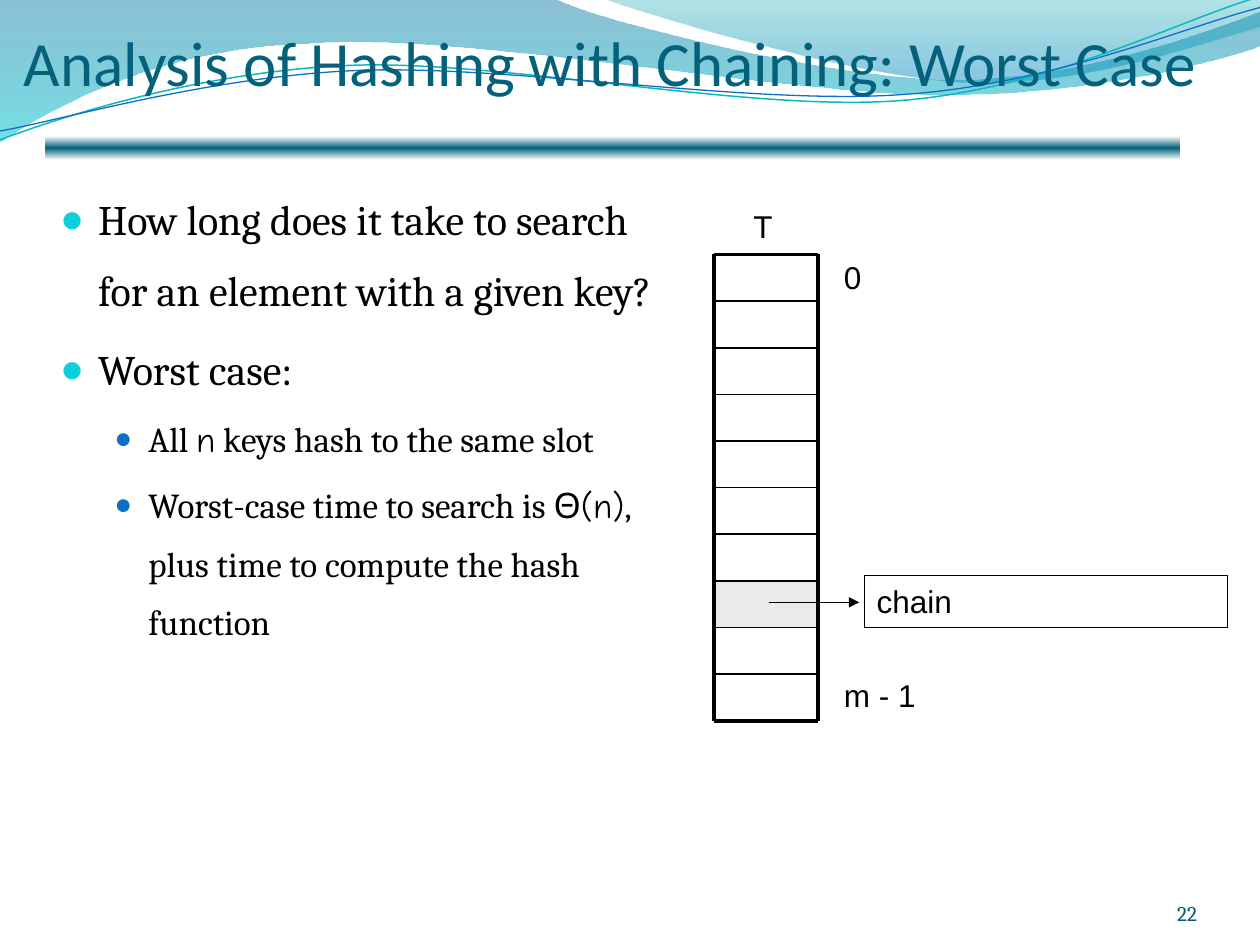
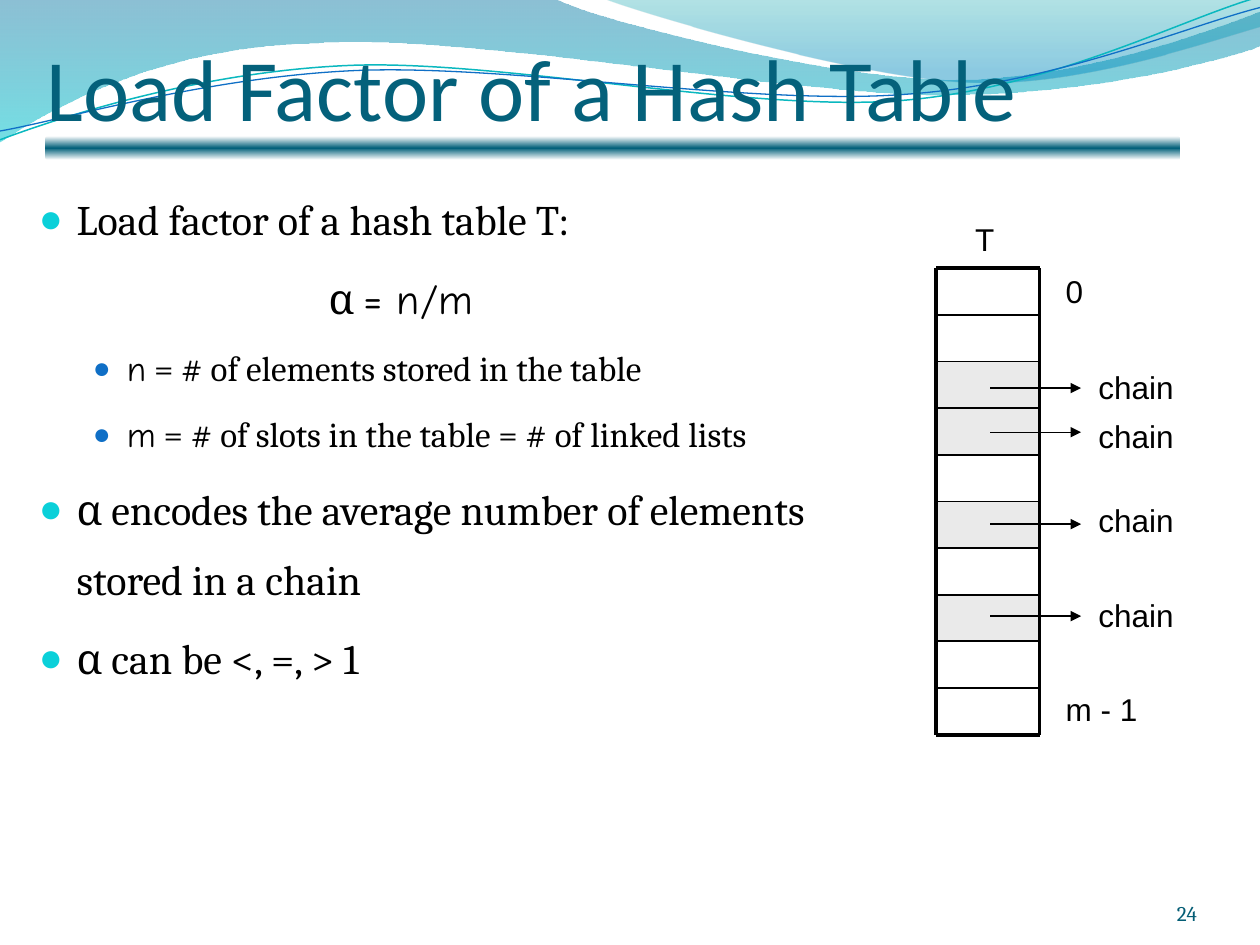
from lxml.etree import SubElement
from pptx import Presentation
from pptx.dml.color import RGBColor
from pptx.enum.shapes import MSO_CONNECTOR, MSO_SHAPE
from pptx.enum.text import MSO_ANCHOR, MSO_AUTO_SIZE, PP_ALIGN
from pptx.oxml.ns import qn
from pptx.util import Inches, Pt

COLORS = {
    "title": "04617B", "number": "045D75", "text": "000000", "white": "FFFFFF",
    "bullet": "0BD0D9", "sub_bullet": "0F6FC6", "slot": "EAEAEA",
    "wave_blue": "0074A1", "wave_cyan": "00C6CF",
    "crest_teal": "00A1A9", "crest_blue": "008BBF",
    "line_teal": "0AB8BF", "line_blue": "0F6FC6",
}
TITLE_FONT, BODY_FONT, MATH_FONT, LABEL_FONT = "Calibri", "Cambria", "Comic Neue", "Arial"

# Outlines: a start point, then line ends (2 numbers) or Bezier curves (6 numbers).
WAVE = [(0, 0), (4.4, -0.01), (4.76, 0.17, 6.64, 0.63, 7.58, 0.63),
        (8.53, 0.63, 9.58, 0.26, 10, 0.09), (10.01, 0.36),
        (9.83, 0.44, 8.7, 0.76, 7.46, 0.75), (6.22, 0.75, 3.82, 0.28, 2.57, 0.34),
        (1.29, 0.36, 0.46, 0.83, -0.01, 1.13)]
CREST = [(4.79, -0.01), (5.09, 0.11, 6.82, 0.62, 7.69, 0.65),
         (8.56, 0.69, 9.61, 0.32, 10, 0.21), (10, 0)]
TEAL_CURVE = [(0, 1.11), (0.48, 0.93, 1.58, 0.57, 2.77, 0.52),
              (3.95, 0.47, 5.93, 0.89, 7.13, 0.8), (8.33, 0.71, 9.38, 0.15, 9.98, -0.02)]
BLUE_CURVE = [(0, 1.04), (0.47, 0.96, 1.64, 0.61, 2.83, 0.56),
              (4.03, 0.51, 5.97, 0.84, 7.17, 0.75), (8.36, 0.67, 9.41, 0.21, 10, 0.06)]

ROWS, ROW_H, TABLE_W = 10, 0.37, 0.82
LABEL_H = 0.4


def rgb(name):
    return RGBColor.from_string(COLORS[name])


def set_font(font, name, size, color):
    font.name, font.size = name, Pt(size)
    font.color.rgb = rgb(color)


def fill_gradient(shape, stops):
    """Fill from top to bottom with (position %, colour, opacity %) stops."""
    shape.fill.gradient()
    shape.fill.gradient_angle = 270
    gs_lst = shape._element.spPr.find(qn("a:gradFill")).find(qn("a:gsLst"))
    for gs in list(gs_lst):
        gs_lst.remove(gs)
    for pos, color, opacity in stops:
        gs = SubElement(gs_lst, qn("a:gs"), pos=str(pos * 1000))
        clr = SubElement(gs, qn("a:srgbClr"), val=COLORS[color])
        if opacity < 100:
            SubElement(clr, qn("a:alpha"), val=str(opacity * 1000))


def add_outline(s, outline, close):
    """Build a freeform, joining the three points of each curve into a Bezier."""
    points = [(Inches(seg[i]), Inches(seg[i + 1]))
              for seg in outline for i in range(0, len(seg), 2)]
    builder = s.shapes.build_freeform(*points[0])
    builder.add_line_segments(points[1:], close=close)
    shape = builder.convert_to_shape()
    shape.shadow.inherit = False
    lines = iter(list(shape._element.iter(qn("a:lnTo"))))
    for seg in outline[1:]:
        line = next(lines)
        if len(seg) == 6:
            curve = line.makeelement(qn("a:cubicBezTo"))
            line.addprevious(curve)
            for part in (line, next(lines), next(lines)):
                curve.append(part[0])
                part.getparent().remove(part)
    return shape


def add_banner(s):
    for outline, stops in (
            (WAVE, [(0, "wave_blue", 45), (100, "wave_cyan", 55)]),
            (CREST, [(0, "crest_teal", 30), (80, "crest_blue", 45)])):
        shape = add_outline(s, outline, True)
        fill_gradient(shape, stops)
        shape.line.fill.background()
    for outline, color, width in ((TEAL_CURVE, "line_teal", 0.85),
                                  (BLUE_CURVE, "line_blue", 0.75)):
        shape = add_outline(s, outline, False)
        shape.fill.background()
        shape.line.color.rgb = rgb(color)
        shape.line.width = Pt(width)
    bar = s.shapes.add_shape(MSO_SHAPE.ROUNDED_RECTANGLE, Inches(0.36), Inches(1.08),
                             Inches(9.01), Inches(0.19))
    bar.shadow.inherit = False
    bar.line.fill.background()
    fill_gradient(bar, [(0, "white", 100), (50, "title", 100), (100, "white", 100)])


def add_text(s, box, text, font, size, color="text", top_inset=None):
    """Add one line of text; a top inset also drops the others and anchors it low."""
    tb = s.shapes.add_textbox(*(Inches(v) for v in box))
    tf = tb.text_frame
    tf.word_wrap = True
    if top_inset is not None:
        tf.margin_left = tf.margin_right = tf.margin_bottom = 0
        tf.margin_top = Inches(top_inset)
        tf.vertical_anchor = MSO_ANCHOR.BOTTOM
    p = tf.paragraphs[0]
    p.text = text
    set_font(p.runs[0].font, font, size, color)
    return tb


def add_frame(s, title, title_box, title_size, number):
    add_banner(s)
    add_text(s, title_box, title, TITLE_FONT, title_size, "title", 0.05)
    tb = add_text(s, (7.17, 7, 2.33, 0.35), number, BODY_FONT, 12, "number", 0)
    tb.text_frame.paragraphs[0].alignment = PP_ALIGN.RIGHT


def set_bullet(p, color, percent):
    pPr = p._p.get_or_add_pPr()
    clr = SubElement(pPr, qn("a:buClr"))
    SubElement(clr, qn("a:srgbClr"), val=COLORS[color])
    SubElement(pPr, qn("a:buSzPct"), val=str(percent * 1000))
    SubElement(pPr, qn("a:buFont"), typeface=LABEL_FONT)
    SubElement(pPr, qn("a:buChar"), char="●")


def set_indent(p, left, first):
    pPr = p._p.get_or_add_pPr()
    pPr.set("marL", str(Inches(left)))
    pPr.set("indent", str(Inches(first)))


def add_body(s, box, items):
    """Write (kind, runs) items; every second run is set in the maths font."""
    tb = s.shapes.add_textbox(*(Inches(v) for v in box))
    tf = tb.text_frame
    tf.word_wrap = True
    for i, (kind, runs) in enumerate(items):
        p = tf.add_paragraph() if i else tf.paragraphs[0]
        size = 20 if kind == "sub" else 24
        if kind == "sub":
            p.level = 1
            set_indent(p, 0.7, -0.27)
            set_bullet(p, "sub_bullet", 85)
        elif kind == "main":
            set_indent(p, 0.3, -0.3)
            set_bullet(p, "bullet", 95)
        else:
            set_indent(p, 2.3, 0)
        p.line_spacing = 1.4
        p.space_before = Pt(0.2 * size if i else 0)
        for j, text in enumerate(runs):
            if text:
                r = p.add_run()
                r.text = text
                set_font(r.font, MATH_FONT if j % 2 else BODY_FONT, size, "text")


def add_line(s, x1, y1, x2, y2, width, arrow=False):
    line = s.shapes.add_connector(MSO_CONNECTOR.STRAIGHT,
                                  *(Inches(v) for v in (x1, y1, x2, y2)))
    line.line.color.rgb = rgb("text")
    line.line.width = Pt(width)
    if arrow:
        SubElement(line.line._get_or_add_ln(), qn("a:tailEnd"), type="triangle")
    SubElement(line._element.spPr, qn("a:effectLst"))


def add_label(s, x, y, width, text):
    tb = add_text(s, (x, y, width, LABEL_H), text, LABEL_FONT, 18)
    tb.text_frame.word_wrap = False
    tb.text_frame.auto_size = MSO_AUTO_SIZE.SHAPE_TO_FIT_TEXT


def add_hash_table(s, x, y, chains, framed=False):
    """Draw table T at x, y; chains maps a row to the drops of its arrow and label."""
    right, bottom = x + TABLE_W, y + ROWS * ROW_H
    for row in chains:
        slot = s.shapes.add_shape(MSO_SHAPE.RECTANGLE, Inches(x), Inches(y + row * ROW_H),
                                  Inches(TABLE_W), Inches(ROW_H))
        slot.shadow.inherit = False
        slot.fill.solid()
        slot.fill.fore_color.rgb = rgb("slot")
        slot.line.fill.background()
    for row in range(ROWS + 1):
        line_y = y + row * ROW_H
        add_line(s, x, line_y, right, line_y, 2.25 if row in (0, ROWS) else 1)
    for side in (x, right):
        add_line(s, side, y, side, bottom, 2.25)
    add_label(s, right + 0.11, y - 0.02, 0.34, "0")
    add_label(s, right + 0.11, bottom - LABEL_H, 0.77, "m - 1")
    add_label(s, x + 0.21, y - 0.43, 0.35, "T")
    for arrow_drop, label_drop in chains.values():
        arrow_y, label_y = y + arrow_drop, y + label_drop
        add_line(s, x + 0.43, arrow_y, x + 1.15, arrow_y, 0.75, arrow=True)
        if framed:
            tb = add_text(s, (x + 1.19, label_y, 2.88, 0.41), "chain", LABEL_FONT, 18)
            tb.line.color.rgb = rgb("text")
            tb.line.width = Pt(0.75)
        else:
            add_label(s, x + 1.19, label_y, 0.8, "chain")


def add_worst_case_slide(prs):
    s = prs.slides.add_slide(prs.slide_layouts[6])
    add_frame(s, "Analysis of Hashing with Chaining: Worst Case",
              (0.19, 0.11, 9.7, 0.68), 36, "22")
    add_body(s, (0.38, 1.33, 5.13, 5.9), [
        ("main", ["How long does it take to search for an element with a given key?"]),
        ("main", ["Worst case:"]),
        ("sub", ["All ", "n", " keys hash to the same slot"]),
        ("sub", ["Worst-case time to search is ", "Θ(n)",
                 ", plus time to compute the hash function"]),
    ])
    add_hash_table(s, 5.67, 2.02, {7: (2.76, 2.55)}, framed=True)


def add_load_factor_slide(prs):
    s = prs.slides.add_slide(prs.slide_layouts[6])
    add_frame(s, "Load Factor of a Hash Table", (0.37, 0.11, 9, 0.99), 50, "24")
    add_body(s, (0.21, 1.33, 6.56, 5.9), [
        ("main", ["Load factor of a hash table T:"]),
        ("formula", ["α ", "= n/m"]),
        ("sub", ["", "n", " = # of elements stored in the table"]),
        ("sub", ["", "m", " = # of slots in the table = # of linked lists"]),
        ("main", ["α encodes the average number of elements stored in a chain"]),
        ("main", ["α can be <, =, > 1"]),
    ])
    add_hash_table(s, 7.43, 2.13, {2: (0.95, 0.74), 3: (1.3, 1.13),
                                   5: (2.03, 1.8), 7: (2.76, 2.55)})


def main():
    prs = Presentation()
    prs.slide_width, prs.slide_height = Inches(10), Inches(7.5)
    add_worst_case_slide(prs)
    add_load_factor_slide(prs)
    prs.save("out.pptx")


if __name__ == "__main__":
    main()
